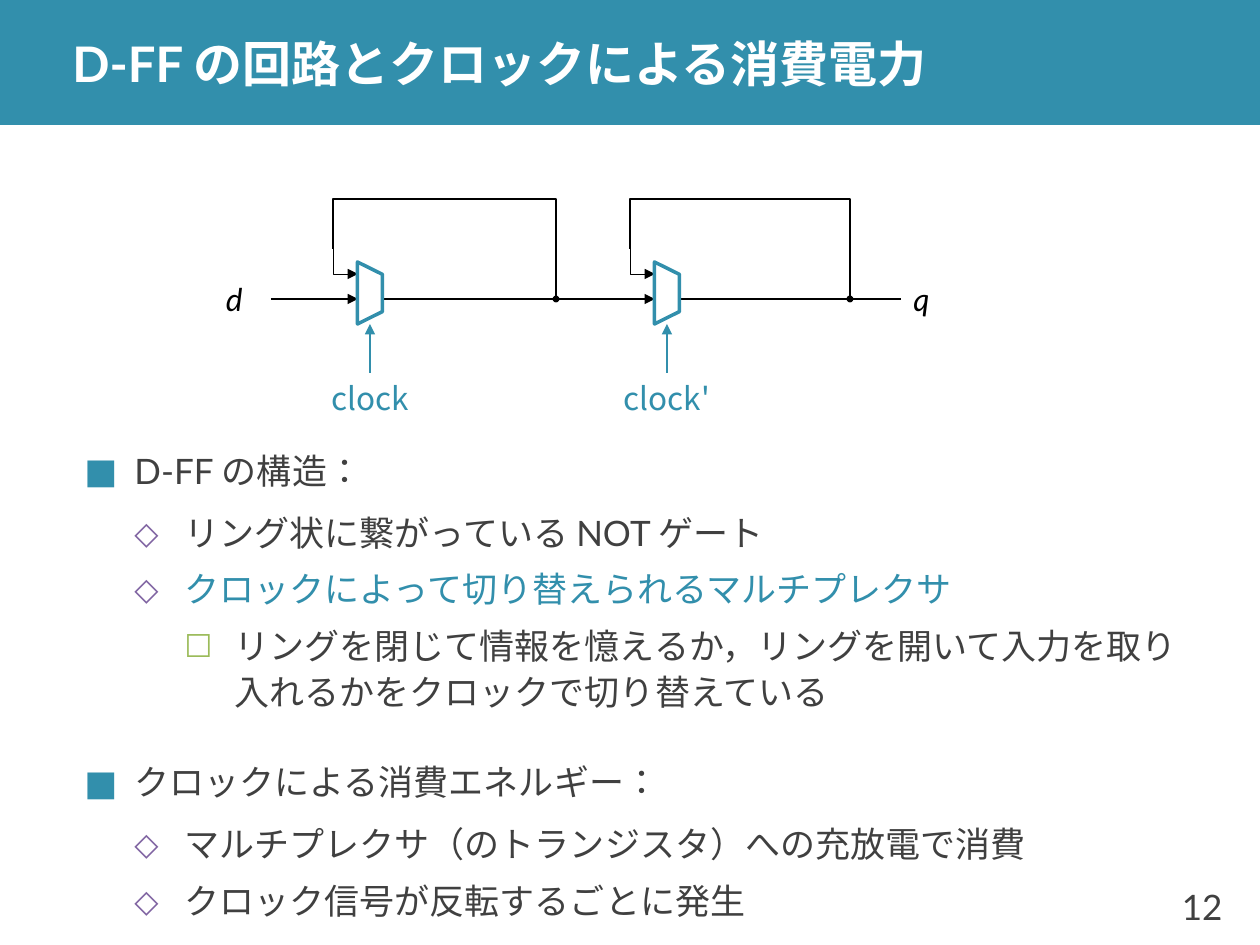
from lxml import etree
from pptx import Presentation
from pptx.dml.color import RGBColor
from pptx.enum.lang import MSO_LANGUAGE_ID as LANGUAGE
from pptx.enum.shapes import MSO_CONNECTOR, MSO_SHAPE as SHAPE
from pptx.enum.text import MSO_ANCHOR, PP_ALIGN as ALIGN
from pptx.oxml.ns import qn
from pptx.util import Pt

SCALE = 914400 / 126
TEAL, DARK, BLACK, WHITE = "328FAC", "404040", "000000", "FFFFFF"
LATIN, JAPANESE = "Lato", "Noto Sans CJK JP"
WIRE_Y, RING_TOP, RING_MIDDLE, UPPER_INPUT_Y = 299, 199, 249, 274

# Per outline level: bullet, bullet colour, bullet size, space before, space after
LEVELS = [
    ("■", TEAL, 100, 24, 6),
    ("◇", "8064A2", 90, 3, 3),
    ("☐", "9BBB59", 90, 3, 1),
]
OUTLINE = [
    (0, "D-FF の構造：", DARK),
    (1, "リング状に繋がっている NOT ゲート", DARK),
    (1, "クロックによって切り替えられるマルチプレクサ", TEAL),
    (2, "リングを閉じて情報を憶えるか，リングを開いて入力を取り入れるかをクロックで切り替えている", DARK),
    (0, "クロックによる消費エネルギー：", DARK),
    (1, "マルチプレクサ（のトランジスタ）への充放電で消費", DARK),
    (1, "クロック信号が反転するごとに発生", DARK),
]


def px(length):
    return round(length * SCALE)


def rgb(color):
    return RGBColor.from_string(color)


def add_child(parent, tag, **attributes):
    child = etree.SubElement(parent, qn(tag))
    for name, value in attributes.items():
        child.set(name, str(value))
    return child


def add_run(paragraph, text, size, color, font=LATIN, bold=False, italic=False):
    run = paragraph.add_run()
    run.text = text
    run.font.size = Pt(size)
    run.font.name = font
    run.font.bold = bold
    run.font.italic = italic
    run.font.language_id = LANGUAGE.JAPANESE
    run.font.color.rgb = rgb(color)
    add_child(run.font._element, "a:ea", typeface=JAPANESE)


def add_frame(slide, box, wrap=True):
    frame = slide.shapes.add_textbox(*map(px, box)).text_frame
    frame.word_wrap = wrap
    frame.vertical_anchor = MSO_ANCHOR.MIDDLE
    return frame


def add_label(slide, box, text, size, color, align=ALIGN.LEFT, **style):
    frame = add_frame(slide, box, wrap=False)
    frame.paragraphs[0].alignment = align
    add_run(frame.paragraphs[0], text, size, color, **style)


def style_line(shape, color, width, head=None, tail=None):
    shape.line.color.rgb = rgb(color)
    shape.line.width = Pt(width)
    ln = shape.element.spPr.get_or_add_ln()
    if head:
        add_child(ln, "a:headEnd", type=head, w="sm", len="sm")
    if tail:
        add_child(ln, "a:tailEnd", type=tail)


def add_wire(slide, start, end, color=BLACK, head=None, tail=None):
    wire = slide.shapes.add_connector(MSO_CONNECTOR.STRAIGHT, *map(px, start + end))
    style_line(wire, color, 0.75, head, tail)
    add_child(wire.element.spPr, "a:effectLst")


def add_bent_wire(slide, points, width, tail=None):
    (x, y), *rest = [(px(x), px(y)) for x, y in points]
    builder = slide.shapes.build_freeform(x, y)
    builder.add_line_segments(rest, close=False)
    wire = builder.convert_to_shape()
    wire.shadow.inherit = False
    wire.fill.background()
    style_line(wire, BLACK, width, tail=tail)


def add_multiplexer(slide, center_x):
    length, depth = 62, 25
    mux = slide.shapes.add_shape(
        SHAPE.FLOWCHART_MANUAL_OPERATION,
        px(center_x - length / 2), px(293 - depth / 2), px(length), px(depth))
    mux.rotation = 270
    mux.shadow.inherit = False
    mux.fill.solid()
    mux.fill.fore_color.rgb = rgb(WHITE)
    style_line(mux, TEAL, 2)


def add_latch(slide, left, right, hook_top, clock):
    """A ring with its multiplexer and clock input."""
    center = left + 37
    add_bent_wire(slide, [(left, WIRE_Y), (right, WIRE_Y), (right, RING_TOP),
                          (left, RING_TOP), (left, RING_MIDDLE)], 0.75)
    add_bent_wire(slide, [(left, hook_top), (left, UPPER_INPUT_Y),
                          (left + 25, UPPER_INPUT_Y)], 0.5, tail="triangle")
    add_multiplexer(slide, center)
    add_wire(slide, (center, 373), (center, 324), TEAL, tail="triangle")
    add_label(slide, (center - 75, 373, 150, 49), clock, 18, TEAL,
              ALIGN.CENTER, font=JAPANESE)


def add_circuit(slide):
    first, second = (333, 556), (630, 850)
    add_wire(slide, (271, WIRE_Y), (first[0] + 25, WIRE_Y), tail="triangle")
    add_wire(slide, (first[1], WIRE_Y), (second[0] + 25, WIRE_Y),
             head="oval", tail="triangle")
    add_wire(slide, (second[1], WIRE_Y), (901, WIRE_Y), head="oval")
    add_label(slide, (206, 274, 49, 49), "d", 18, BLACK, ALIGN.RIGHT, italic=True)
    add_label(slide, (901, 274, 49, 49), "q", 18, BLACK, italic=True)
    add_latch(slide, *first, RING_MIDDLE, "clock")
    add_latch(slide, *second, 237, "clock'")


def add_outline(slide):
    frame = add_frame(slide, (72, 497, 1142, 372))
    indent = px(50)
    for index, (level, text, color) in enumerate(OUTLINE):
        paragraph = frame.add_paragraph() if index else frame.paragraphs[0]
        bullet, bullet_color, bullet_size, before, after = LEVELS[level]
        properties = paragraph._p.get_or_add_pPr()
        properties.set("marL", str(indent * (level + 1)))
        properties.set("indent", str(-indent))
        add_child(add_child(properties, "a:buClr"), "a:srgbClr", val=bullet_color)
        add_child(properties, "a:buSzPct", val=bullet_size * 1000)
        add_child(properties, "a:buFont", typeface=LATIN)
        add_child(properties, "a:buChar", char=bullet)
        paragraph.level = level
        paragraph.line_spacing = 1.1
        paragraph.space_before = Pt(before if index else 0)
        paragraph.space_after = Pt(after)
        add_run(paragraph, text, 20, color)


def add_header(slide):
    band = slide.shapes.add_shape(SHAPE.RECTANGLE, 0, 0, px(1260), px(125))
    band.shadow.inherit = False
    band.fill.solid()
    band.fill.fore_color.rgb = rgb(TEAL)
    band.line.fill.background()
    title = add_frame(slide, (60, 0, 1200, 125))
    title.margin_top = title.margin_bottom = 0
    add_run(title.paragraphs[0], "D-FF の回路とクロックによる消費電力", 28, WHITE, bold=True)


def main():
    deck = Presentation()
    deck.slide_width, deck.slide_height = px(1260), px(945)
    slide = deck.slides.add_slide(deck.slide_layouts[6])
    add_header(slide)
    add_label(slide, (1150, 869, 85, 76), "12", 20, DARK, ALIGN.RIGHT)
    add_outline(slide)
    add_circuit(slide)
    deck.save("out.pptx")


if __name__ == "__main__":
    main()
